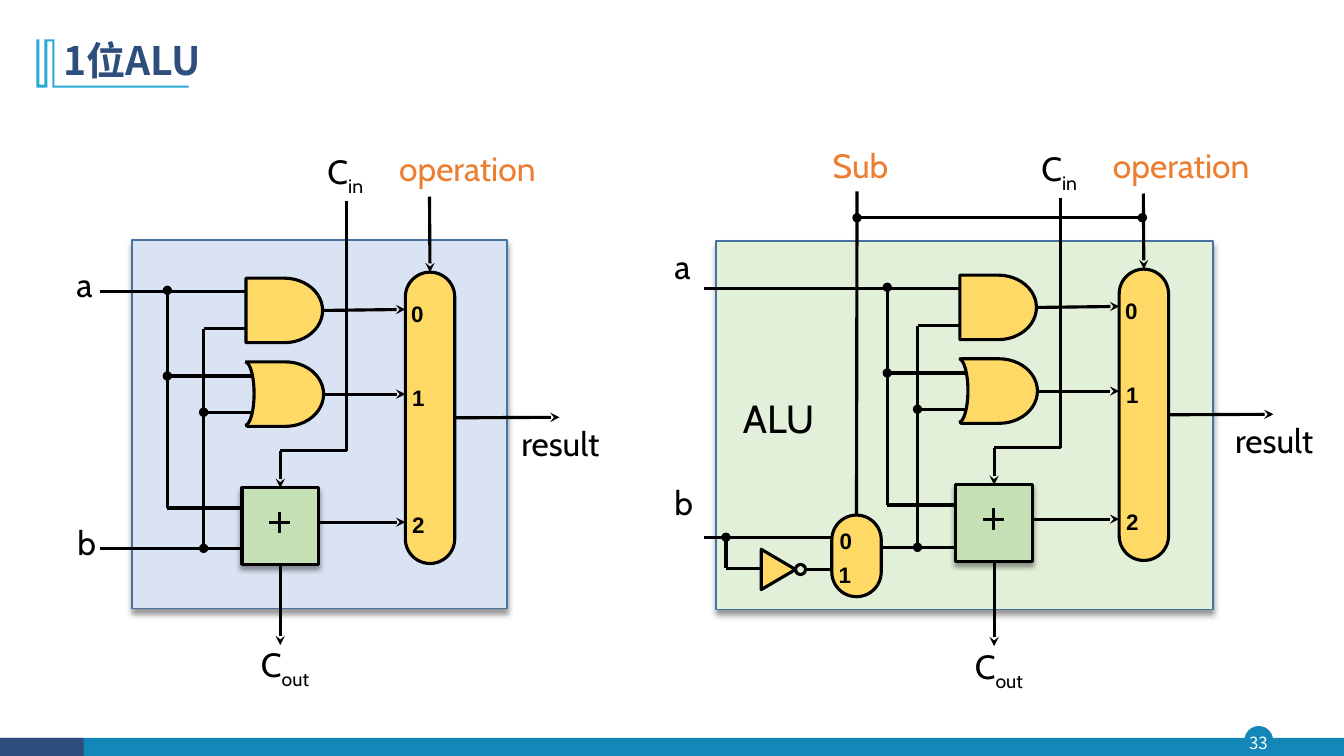
"""Build the slide comparing a 1-bit ALU with a version that can subtract."""
import math

from lxml import etree
from pptx import Presentation
from pptx import util as u
from pptx.dml.color import RGBColor
from pptx.enum import shapes, text
from pptx.oxml import ns

SHAPE = shapes.MSO_SHAPE
ALIGN = text.PP_ALIGN
BLACK, WHITE, GOLD, GREEN, ORANGE = "000000", "FFFFFF", "FFD966", "C5E0B4", "ED7D31"
NAVY, TEAL, CYAN, EDGE = "2E4E7E", "1387B7", "28A9D6", "43739E"
CJK, LATIN, DIGITS = "Noto Sans CJK SC", "Cabin", "Arial"
TOP, BOTTOM, RIGHT = 0, 2, 3

TITLE = "1位ALU"
PAGE = "33"
BRACKET = [(0.54, 0.39), (0.54, 0.85), (1.87, 0.85), (1.87, 0.87), (0.52, 0.87), (0.52, 0.41),
           (0.47, 0.41), (0.47, 0.87), (0.36, 0.87), (0.36, 0.39), (0.39, 0.39), (0.39, 0.84),
           (0.44, 0.84), (0.44, 0.39)]

PANELS = [
    dict(origin=(0, 0), body=(1.31, 2.38, 3.72, 3.66), fill="DAE3F3", a_start=0.99, bus_a=1.66,
         b_start=0.99, b_level=5.44, carry_end=6.40,
         labels=[("a", 0.66, 2.57, 0.38), ("b", 0.67, 5.13, 0.41), ("C_out", 2.49, 6.34, 0.76)]),
    dict(origin=(7.08, -0.03), body=(0.02, 2.42, 4.93, 3.66), fill="E2F0D9", a_start=-0.10,
         bus_a=1.72, b_start=1.66, b_level=5.46, carry_end=6.44,
         labels=[("a", -0.49, 2.42, 0.38), ("b", -0.49, 4.76, 0.41), ("C_out", 2.49, 6.39, 0.76)]),
]
INPUT_DIGITS = [("0", 4.04, 2.92), ("1", 4.05, 3.76), ("2", 4.05, 5.02)]
INVERT_DIGITS = [("0", 8.29, 5.18), ("1", 8.28, 5.51)]
INVERT_WIRES = [
    ((6.98, 5.33), (8.25, 5.33), None),
    ((7.99, 5.65), (8.31, 5.65), None),
    ((7.20, 5.33), (7.20, 5.64), "oval"),
    ((7.20, 5.64), (7.56, 5.64), None),
]


def cm(inches):
    """Turn a layout distance in inches into a Cm length."""
    return u.Cm(inches * 2.54)


def color(value):
    """Turn a hex string into a colour."""
    return RGBColor.from_string(value)


def write(shape, content, size=24, font=LATIN, ink=BLACK, bold=False, align=ALIGN.LEFT,
          anchor=text.MSO_ANCHOR.TOP, spacing=1.0, inset=None, wrap=False):
    """Put one paragraph in a shape; the part after an underscore is a subscript."""
    frame = shape.text_frame
    frame.word_wrap = wrap
    frame.auto_size = text.MSO_AUTO_SIZE.NONE
    frame.vertical_anchor = anchor
    if inset is not None:
        frame.margin_left = frame.margin_right = frame.margin_top = frame.margin_bottom = cm(inset)
    paragraph = frame.paragraphs[0]
    paragraph.alignment = align
    paragraph.line_spacing = spacing
    paragraph.space_before = u.Pt(0)
    for index, part in enumerate(content.split("_")):
        run = paragraph.add_run()
        run.text = part
        run.font.size = u.Pt(size)
        run.font.bold = bold
        run.font.name = font
        run.font.color.rgb = color(ink)
        properties = run.font._element if hasattr(run.font, "_element") else run._r.get_or_add_rPr()
        etree.SubElement(properties, ns.qn("a:ea"), typeface=font)
        if index:
            properties.set("baseline", "-25000")


def style(shape, fill, line, width, shadow=False):
    """Set the fill, outline and shadow of a shape."""
    shape.shadow.inherit = False
    if fill:
        shape.fill.solid()
        shape.fill.fore_color.rgb = color(fill)
    else:
        shape.fill.background()
    if line:
        shape.line.color.rgb = color(line)
        shape.line.width = u.Pt(width)
    else:
        shape.line.fill.background()
    if shadow:
        effects = shape.element.spPr.find(ns.qn("a:effectLst"))
        outer = etree.SubElement(effects, ns.qn("a:outerShdw"), blurRad="50800", dist="38100",
                                 dir="5400000", algn="t", rotWithShape="0")
        tint = etree.SubElement(outer, ns.qn("a:srgbClr"), val=BLACK)
        etree.SubElement(tint, ns.qn("a:alpha"), val="40000")
    return shape


class Canvas:
    """Draw on a shape collection, with positions measured from an origin."""

    def __init__(self, target, origin=(0, 0)):
        self.target = target
        self.origin = origin

    def point(self, x, y):
        return cm(x + self.origin[0]), cm(y + self.origin[1])

    def box(self, kind, x, y, width, height, fill=GOLD, line=BLACK, weight=2.25, shadow=False):
        shape = self.target.add_shape(kind, *self.point(x, y), cm(width), cm(height))
        return style(shape, fill, line, weight, shadow)

    def mux(self, x, y, width, height):
        shape = self.box(SHAPE.ROUNDED_RECTANGLE, x, y, width, height)
        shape.adjustments[0] = 0.5
        return shape

    def outline(self, points, fill, line=None, weight=1, close=True):
        places = [self.point(*point) for point in points]
        builder = self.target.build_freeform(*places[0])
        builder.add_line_segments(places[1:], close=close)
        return style(builder.convert_to_shape(), fill, line, weight)

    def wire(self, start, end, head=None, tail=None, begin=None, finish=None):
        connector = self.target.add_connector(
            shapes.MSO_CONNECTOR.STRAIGHT, *self.point(*start), *self.point(*end))
        connector.line.color.rgb = color(BLACK)
        connector.line.width = u.Pt(2.25)
        properties = connector.element.spPr
        for tag, kind in (("a:headEnd", head), ("a:tailEnd", tail)):
            if kind:
                etree.SubElement(properties.find(ns.qn("a:ln")), ns.qn(tag), type=kind)
        etree.SubElement(properties, ns.qn("a:effectLst"))
        if begin:
            connector.begin_connect(*begin)
        if finish:
            connector.end_connect(*finish)

    def label(self, content, x, y, width, height=0.5, **form):
        write(self.target.add_textbox(*self.point(x, y), cm(width), cm(height)), content, **form)

    def digits(self, entries):
        for digit, x, y in entries:
            self.label(digit, x, y, 0.2, 0.29, size=16, font=DIGITS, bold=True,
                       align=ALIGN.CENTER, spacing=1.2, inset=0, wrap=True)


def draw_panel(canvas, body, fill, a_start, bus_a, b_start, b_level, carry_end, labels):
    """Draw the gates, adder, multiplexer and wires that both circuits share."""
    canvas.box(SHAPE.RECTANGLE, *body, fill=fill, line=EDGE, weight=1, shadow=True)
    and_gate = canvas.box(SHAPE.FLOWCHART_DELAY, 2.44, 2.76, 0.76, 0.64)
    or_gate = canvas.box(SHAPE.FLOWCHART_DELAY, 2.45, 3.59, 0.76, 0.64)
    steps = 24
    arc = [(2.43 + 0.09 * math.sin(math.pi * i / steps),
            3.905 - 0.315 * math.cos(math.pi * i / steps)) for i in range(steps + 1)]
    canvas.outline(arc, fill, BLACK, 2.25, close=False)
    mux = canvas.mux(4.02, 2.70, 0.49, 2.89)
    adder = canvas.box(SHAPE.RECTANGLE, 2.40, 4.84, 0.76, 0.76, fill=GREEN, shadow=True)
    plus_x, plus_y, reach, half = 2.775, 5.18, 0.1, 0.01
    corners = [(-half, -reach), (half, -reach), (half, -half), (reach, -half), (reach, half),
               (half, half)]
    corners += [(-x, -y) for x, y in corners]
    corners = sorted(set(corners), key=lambda corner: math.atan2(corner[1], corner[0]))
    canvas.outline([(plus_x + x, plus_y + y) for x, y in corners], BLACK, BLACK, 0.75)

    bus_b = 2.02
    canvas.wire((a_start, 2.89), (2.45, 2.89))
    canvas.wire((bus_b, 3.26), (2.45, 3.26))
    canvas.wire((bus_a, 3.73), (2.49, 3.73), head="oval")
    canvas.wire((bus_b, 4.09), (2.51, 4.09), head="oval")
    canvas.wire((bus_a, 2.88), (bus_a, 5.04), head="oval")
    canvas.wire((bus_b, b_level), (bus_b, 3.26), head="oval")
    canvas.wire((bus_a, 5.04), (2.40, 5.04))
    canvas.wire((b_start, b_level), (2.40, b_level))
    canvas.wire((3.44, 1.99), (3.44, 4.47))
    canvas.wire((2.78, 4.47), (3.44, 4.47))
    canvas.wire((2.78, 4.47), (2.78, 4.84), tail="stealth", finish=(adder, TOP))
    canvas.wire((3.20, 3.07), (4.02, 3.07), tail="stealth", begin=(and_gate, RIGHT))
    canvas.wire((3.20, 3.91), (4.02, 3.91), tail="stealth", begin=(or_gate, RIGHT))
    canvas.wire((3.17, 5.18), (4.02, 5.18), tail="stealth")
    canvas.wire((4.51, 4.14), (5.55, 4.14), tail="stealth", begin=(mux, RIGHT))
    canvas.wire((4.26, 1.95), (4.26, 2.70), tail="stealth", finish=(mux, TOP))
    canvas.wire((2.78, 5.60), (2.78, carry_end), tail="stealth", begin=(adder, BOTTOM))

    canvas.digits(INPUT_DIGITS)
    canvas.label("result", 5.17, 4.12, 1.45, 0.44, spacing=1.2, inset=0, wrap=True)
    canvas.label("operation", 3.86, 1.42, 1.69, ink=ORANGE)
    for entry in [("C_in", 3.15, 1.45, 0.6)] + labels:
        canvas.label(*entry)


def draw_inverter(canvas):
    """Draw the subtract control and the selectable inverter on input b."""
    for start, end, head in INVERT_WIRES:
        canvas.wire(start, end, head=head)
    mux = canvas.mux(8.25, 5.11, 0.49, 0.81)
    canvas.wire((8.5, 1.90), (8.5, 5.11), finish=(mux, TOP))
    canvas.wire((8.5, 2.16), (11.33, 2.16), head="oval", tail="oval")
    canvas.box(SHAPE.OVAL, 7.89, 5.60, 0.1, 0.1, fill=None)
    canvas.box(SHAPE.ISOSCELES_TRIANGLE, 7.52, 5.48, 0.4, 0.34).rotation = 90
    canvas.digits(INVERT_DIGITS)
    canvas.label("Sub", 8.16, 1.39, 0.79, ink=ORANGE)
    canvas.label("ALU", 7.27, 3.86, 1, 0.57, size=28)


def main():
    """Assemble and save the slide."""
    presentation = Presentation()
    presentation.slide_width, presentation.slide_height = cm(13.33), cm(7.5)
    slide = presentation.slides.add_slide(presentation.slide_layouts[5])
    page = Canvas(slide.shapes)
    page.box(SHAPE.OVAL, 12.35, 7.21, 0.27, 0.27, fill=TEAL, line=TEAL, weight=1)
    page.box(SHAPE.RECTANGLE, 0.01, 7.32, 13.32, 0.19, fill=TEAL, line=None)
    page.box(SHAPE.RECTANGLE, 0, 7.32, 0.83, 0.19, fill=NAVY, line=None)
    page.label(PAGE, 12.32, 7.21, 0.32, 0.31, size=12, font=CJK, ink=WHITE, align=ALIGN.CENTER,
               anchor=text.MSO_ANCHOR.MIDDLE, inset=0, wrap=True)
    page.outline(BRACKET, CYAN)
    title = slide.shapes.title
    title.left, title.top, title.width, title.height = cm(0.53), cm(0.28), cm(11.5), cm(0.68)
    write(title, TITLE, size=28, font=CJK, ink=NAVY, bold=True, spacing=0.9, wrap=True,
          anchor=text.MSO_ANCHOR.MIDDLE)
    for panel in PANELS:
        group = slide.shapes.add_group_shape()
        parts = {key: value for key, value in panel.items() if key != "origin"}
        draw_panel(Canvas(group.shapes, panel["origin"]), **parts)
    draw_inverter(Canvas(group.shapes))
    presentation.save("out.pptx")


if __name__ == "__main__":
    main()
